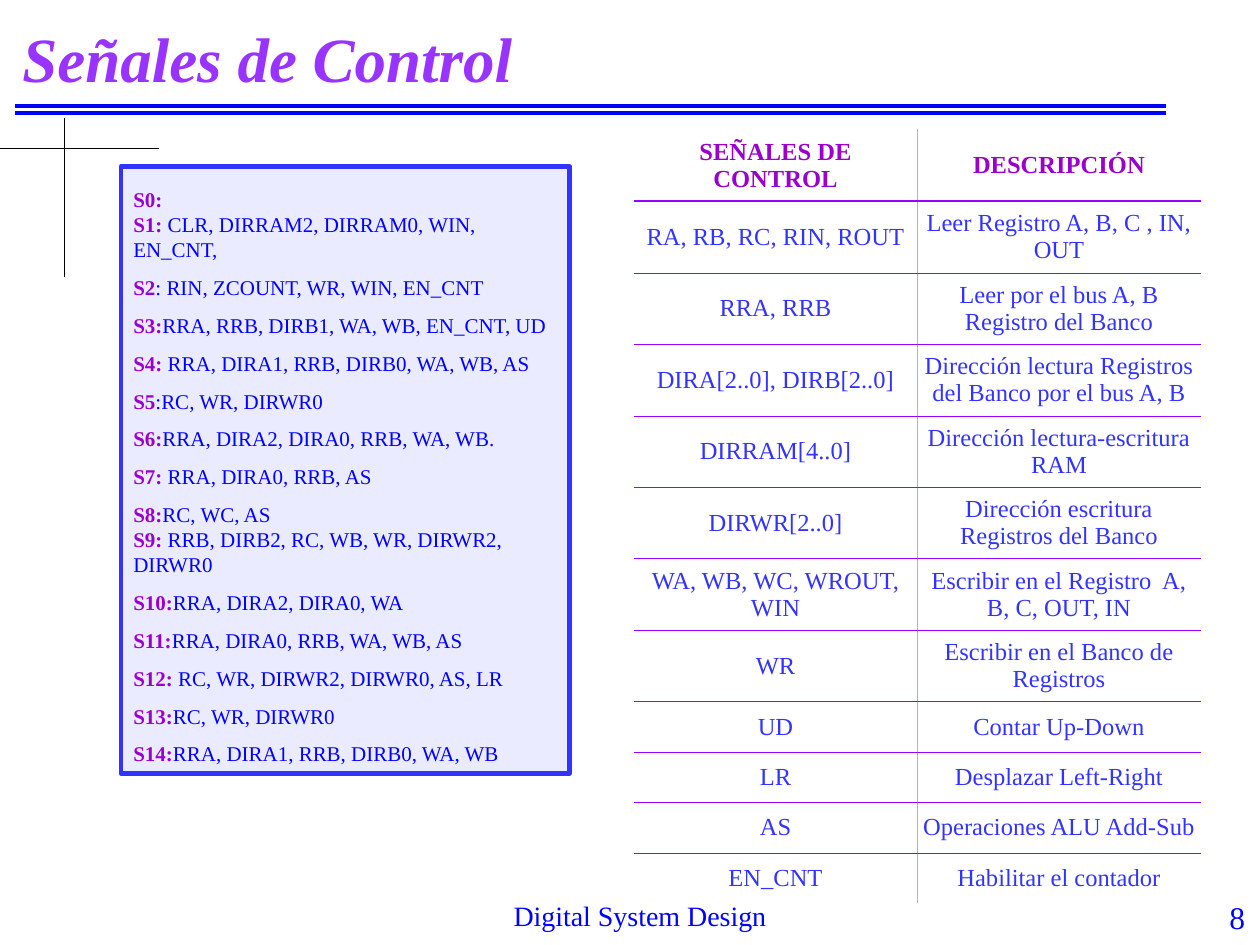
import pptx
import pptx.util
import pptx.dml.color
import pptx.enum.text
import pptx.enum.shapes
import pptx.oxml
import pptx.oxml.ns
import lxml.etree

INK = {"blue": "0000FF", "edge": "3333FF", "title": "9933FF", "head": "9900CC",
       "row": "9900FF", "col": "CC99FF", "black": "000000", "white": "FFFFFF"}
FONT = "Times New Roman"
ALIGN = pptx.enum.text.PP_ALIGN
MID = pptx.enum.text.MSO_ANCHOR.MIDDLE
inch = pptx.util.Inches
qn = pptx.oxml.ns.qn

# State name, separator, active signals, line spacing
STATES = [
    ("S0:", "", 1.5),
    ("S1: ", "CLR, DIRRAM2, DIRRAM0, WIN, EN_CNT,", 1),
    ("S2", ": RIN, ZCOUNT, WR, WIN, EN_CNT", 1.5),
    ("S3:", "RRA, RRB, DIRB1, WA, WB, EN_CNT, UD", 1.5),
    ("S4: ", "RRA, DIRA1, RRB, DIRB0, WA, WB, AS", 1.5),
    ("S5", ":RC, WR, DIRWR0", 1.5),
    ("S6:", "RRA, DIRA2, DIRA0, RRB, WA, WB.", 1.5),
    ("S7: ", "RRA, DIRA0, RRB, AS", 1.5),
    ("S8:", "RC, WC, AS", 1.5),
    ("S9: ", "RRB, DIRB2, RC, WB, WR, DIRWR2, DIRWR0", 1),
    ("S10:", "RRA, DIRA2, DIRA0, WA", 1.5),
    ("S11:", "RRA, DIRA0, RRB, WA, WB, AS", 1.5),
    ("S12: ", "RC, WR, DIRWR2, DIRWR0, AS, LR", 1.5),
    ("S13:", "RC, WR, DIRWR0", 1.5),
    ("S14:", "RRA, DIRA1, RRB, DIRB0, WA, WB", 1.5),
]
SIGNALS = [
    ("SEÑALES DE CONTROL", "DESCRIPCIÓN"),
    ("RA, RB, RC, RIN, ROUT", "Leer Registro A, B, C , IN, OUT"),
    ("RRA, RRB", "Leer por el bus A, B Registro del Banco"),
    ("DIRA[2..0], DIRB[2..0]", "Dirección lectura Registros del Banco por el bus A, B"),
    ("DIRRAM[4..0]", "Dirección lectura-escritura RAM"),
    ("DIRWR[2..0]", "Dirección escritura Registros del Banco"),
    ("WA, WB, WC, WROUT, WIN", "Escribir en el Registro  A, B, C, OUT, IN"),
    ("WR", "Escribir en el Banco de Registros"),
    ("UD", "Contar Up-Down"),
    ("LR", "Desplazar Left-Right"),
    ("AS", "Operaciones ALU Add-Sub"),
    ("EN_CNT", "Habilitar el contador"),
]


def rgb(name):
    return pptx.dml.color.RGBColor.from_string(INK[name])


def style(run, size, color, bold=False, italic=False):
    font = run.font
    font.name, font.size = FONT, pptx.util.Pt(size)
    font.bold, font.italic = bold, italic
    font.color.rgb = rgb(color)


def fade(fill, share):
    """Give a solid fill an opacity in percent."""
    node = fill._xPr.find(qn("a:solidFill"))[0]
    lxml.etree.SubElement(node, qn("a:alpha")).set("val", str(share * 1000))


def label(slide, box, text, size, color, align, anchor=None, **face):
    shape = slide.shapes.add_textbox(*map(inch, box))
    frame = shape.text_frame
    frame.word_wrap = True
    frame.vertical_anchor = anchor
    frame.text = text
    para = frame.paragraphs[0]
    para.alignment = align
    style(para.runs[0], size, color, **face)


def rule(slide, ends, color, width):
    line = slide.shapes.add_connector(
        pptx.enum.shapes.MSO_CONNECTOR.STRAIGHT, *map(inch, ends))
    line.line.color.rgb = rgb(color)
    line.line.width = pptx.util.Pt(width)
    lxml.etree.SubElement(line._element.spPr, qn("a:effectLst"))


def frame_lines(slide, wide):
    # Double rule under the title, then the corner cross
    for y in (0.84, 0.9):
        rule(slide, (0.12, y, 0.925 * wide, y), "blue", 2.24)
    rule(slide, (0, 1.18, 1.26, 1.18), "black", 0.74)
    rule(slide, (0.51, 0.94, 0.51, 2.2), "black", 0.74)


def state_list(slide, box):
    panel = slide.shapes.add_shape(
        pptx.enum.shapes.MSO_SHAPE.RECTANGLE, *map(inch, box))
    panel.shadow.inherit = False
    panel.fill.solid()
    panel.fill.fore_color.rgb = rgb("blue")
    fade(panel.fill, 8)
    panel.line.color.rgb = rgb("edge")
    panel.line.width = pptx.util.Pt(2.49)
    frame = panel.text_frame
    frame.word_wrap = True
    frame.vertical_anchor = MID
    for i, (name, names, space) in enumerate(STATES):
        para = frame.add_paragraph() if i else frame.paragraphs[0]
        para.alignment = ALIGN.LEFT
        para.line_spacing = float(space)
        for text, color, bold in ((name, "head", True), (names, "blue", False)):
            if text:
                run = para.add_run()
                run.text = text
                style(run, 12, color, bold)


def border(cell, side, color, width):
    props = cell._tc.get_or_add_tcPr()
    line = lxml.etree.SubElement(props, qn("a:ln" + side))
    line.set("w", str(int(pptx.util.Pt(width))))
    fill = lxml.etree.SubElement(line, qn("a:solidFill"))
    lxml.etree.SubElement(fill, qn("a:srgbClr")).set("val", INK[color])


def signal_table(slide, box):
    last = len(SIGNALS) - 1
    table = slide.shapes.add_table(len(SIGNALS), 2, *map(inch, box)).table
    table.first_row = table.horz_banding = False
    # Plain table style, without grid
    table._tbl.tblPr.find(qn("a:tableStyleId")).text = \
        "{2D5ABB26-0587-4C30-8999-92F81FD0307C}"
    edges = [("white", 0.45), ("row", 1.08)] + [("row", 0.23)] * (last - 1)
    edges.append(("white", 0.45))
    for r, pair in enumerate(SIGNALS):
        table.rows[r].height = inch(0.48 if r < 8 else 0.4)
        for c, text in enumerate(pair):
            cell = table.cell(r, c)
            cell.margin_left = cell.margin_right = inch(0.01)
            cell.vertical_anchor = MID
            border(cell, "L" if c else "R", "col", 0.23)
            border(cell, "T", *edges[r])
            border(cell, "B", *edges[r + 1])
            if r % 2:
                cell.fill.solid()
                cell.fill.fore_color.rgb = rgb("white")
                fade(cell.fill, 20)
            else:
                cell.fill.background()
            cell.text_frame.text = text
            para = cell.text_frame.paragraphs[0]
            para.alignment = ALIGN.CENTER
            style(para.runs[0], 14, "edge" if r else "head", r == 0)


def main():
    deck = pptx.Presentation()
    deck.slide_width, deck.slide_height = inch(10), inch(7.5)
    slide = deck.slides.add_slide(deck.slide_layouts[6])
    frame_lines(slide, 10)
    # Footer
    label(slide, (9.29, 7.08, 0.69, 0.33), "8", 18, "blue", ALIGN.RIGHT)
    label(slide, (3.33, 7.08, 3.5, 0.33), "Digital System Design", 16, "blue",
          ALIGN.CENTER)
    # Title and body
    label(slide, (0.08, 0.08, 9.17, 0.75), "Señales de Control", 36, "title",
          ALIGN.LEFT, MID, bold=True, italic=True)
    state_list(slide, (0.96, 1.32, 3.56, 4.82))
    signal_table(slide, (5.03, 1.03, 4.5, 5.44))
    deck.save("out.pptx")


main()
